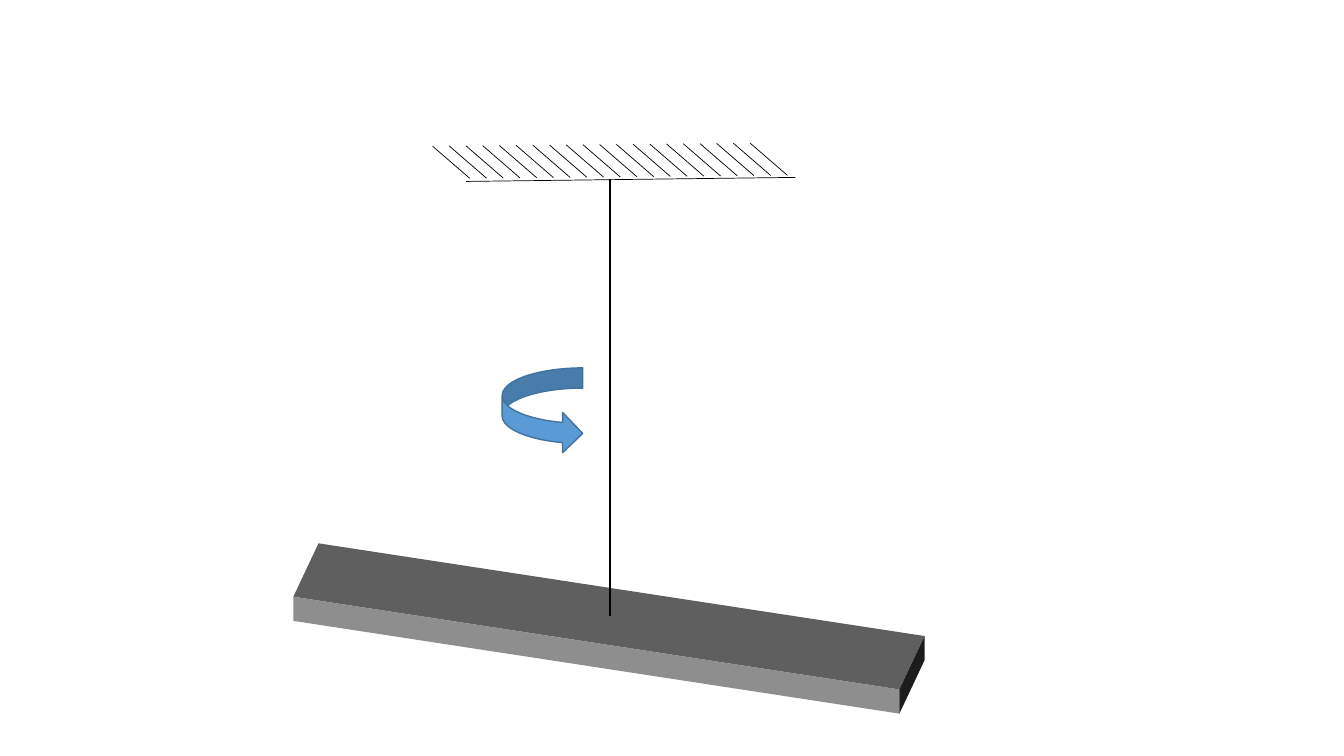
from pptx import Presentation
from pptx.dml.color import RGBColor
from pptx.enum.shapes import MSO_CONNECTOR, MSO_SHAPE
from pptx.oxml.ns import qn
from pptx.util import Inches, Pt

STRAIGHT = MSO_CONNECTOR.STRAIGHT
CURVED_ARROW = MSO_SHAPE.CURVED_RIGHT_ARROW

BLACK = RGBColor(0x00, 0x00, 0x00)
BLUE = RGBColor(0x5B, 0x9B, 0xD5)
DARK_BLUE = RGBColor(0x43, 0x73, 0x9E)
TOP_GRAY = RGBColor(0x5F, 0x5F, 0x5F)
FRONT_GRAY = RGBColor(0x8E, 0x8E, 0x8E)
END_GRAY = RGBColor(0x1C, 0x1C, 0x1C)

# Ceiling hatching: first and last stroke start, and the slant of each stroke
HATCH_COUNT = 20
HATCH_FIRST, HATCH_LAST = (4.29, 1.45), (7.44, 1.42)
HATCH_SLANT = (0.37, 0.32)
CEILING = ((4.62, 1.8), (7.89, 1.76))
WIRE = ((6.05, 6.11), (6.05, 1.78))
ROTATION_ARROW = (4.98, 3.65, 0.8, 0.85)

# Suspended bar: front upper left corner and its three edge vectors
BAR_CORNER = (2.91, 5.92)
BAR_LENGTH, BAR_DEPTH, BAR_HEIGHT = (6.01, 0.92), (0.25, -0.53), (0, 0.24)


def add(point, vector):
    return point[0] + vector[0], point[1] + vector[1]


def draw_line(shapes, start, end, weight):
    line = shapes.add_connector(STRAIGHT, *map(Inches, start + end))
    line.line.color.rgb = BLACK
    line.line.width = Pt(weight)
    properties = line._element.spPr
    properties.append(properties.makeelement(qn("a:effectLst"), {}))


def draw_face(shapes, corner, side, other_side, color):
    """Draw the parallelogram spanned by two edge vectors."""
    far = add(corner, side)
    corners = [corner, far, add(far, other_side), add(corner, other_side)]
    points = [(Inches(x), Inches(y)) for x, y in corners]
    builder = shapes.build_freeform(*points[0])
    builder.add_line_segments(points[1:], close=True)
    face = builder.convert_to_shape()
    face.shadow.inherit = False
    face.fill.solid()
    face.fill.fore_color.rgb = color
    face.line.fill.background()


prs = Presentation()
prs.slide_width, prs.slide_height = Inches(13.33), Inches(7.5)
shapes = prs.slides.add_slide(prs.slide_layouts[6]).shapes

hatching = shapes.add_group_shape().shapes
for i in range(HATCH_COUNT):
    share = i / (HATCH_COUNT - 1)
    start = tuple(a + (b - a) * share for a, b in zip(HATCH_FIRST, HATCH_LAST))
    draw_line(hatching, start, add(start, HATCH_SLANT), 0.5)

bar = shapes.add_group_shape().shapes
draw_face(bar, BAR_CORNER, BAR_LENGTH, BAR_DEPTH, TOP_GRAY)
draw_face(bar, BAR_CORNER, BAR_LENGTH, BAR_HEIGHT, FRONT_GRAY)
draw_face(bar, add(BAR_CORNER, BAR_LENGTH), BAR_DEPTH, BAR_HEIGHT, END_GRAY)

draw_line(shapes, *WIRE, 2)
draw_line(shapes, *CEILING, 0.5)

rotation = shapes.add_shape(CURVED_ARROW, *map(Inches, ROTATION_ARROW))
rotation.shadow.inherit = False
rotation.fill.solid()
rotation.fill.fore_color.rgb = BLUE
rotation.line.color.rgb = DARK_BLUE
rotation.line.width = Pt(1)

prs.save("out.pptx")
